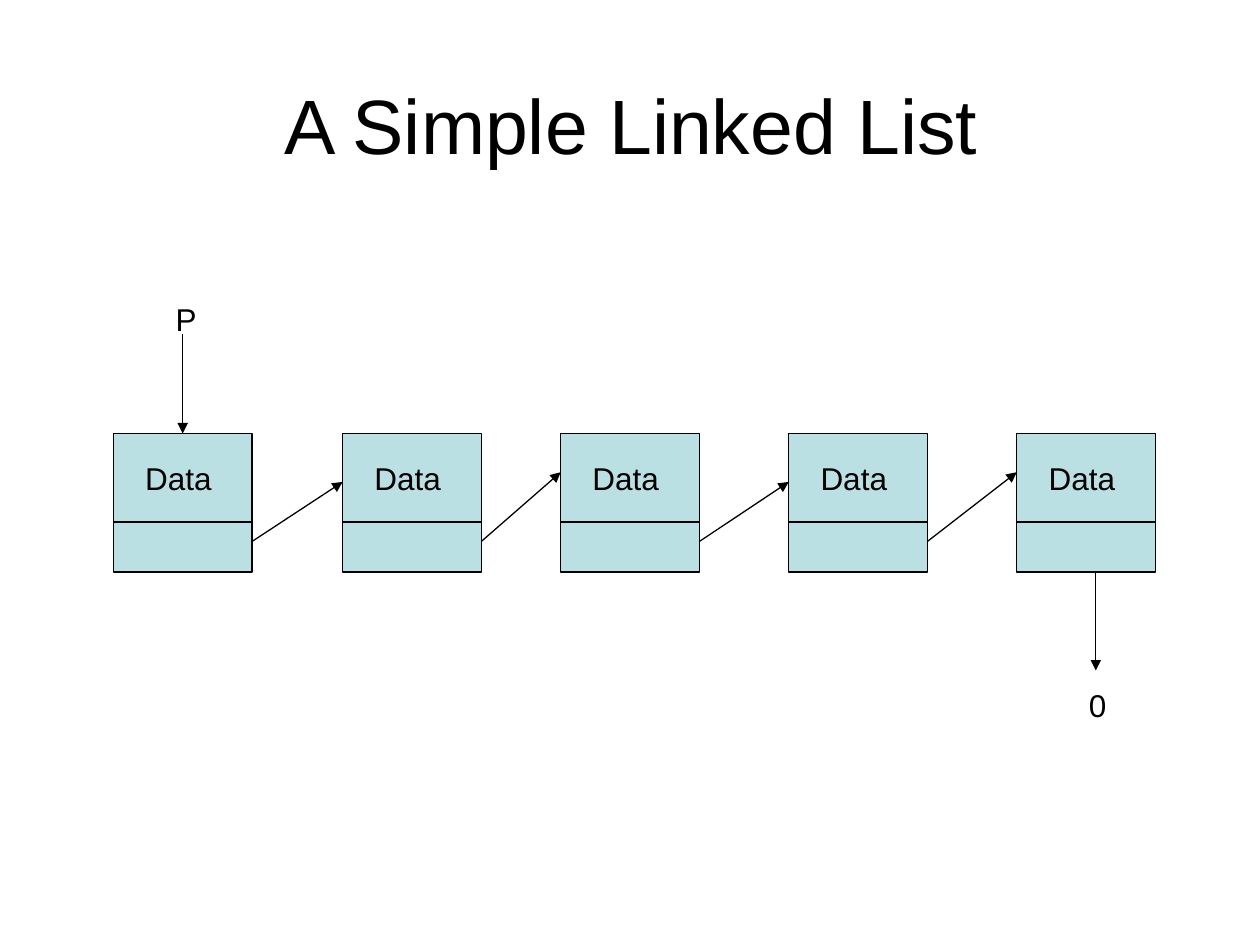
import dataclasses

import pptx
import pptx.dml.color
import pptx.enum.shapes
import pptx.enum.text
import pptx.oxml.ns
import pptx.util
from lxml import etree

BLACK = pptx.dml.color.RGBColor(0x00, 0x00, 0x00)
TEAL = pptx.dml.color.RGBColor(0xBB, 0xE0, 0xE3)
FONT = "Arial"
LINE_WIDTH = pptx.util.Pt(0.75)

# Lengths in inches
SLIDE_WIDTH, SLIDE_HEIGHT = 10, 7.5
NODE_SIZE = 1.1
NODE_TOP = 3.44
NODE_LEFTS = [0.9, 2.72, 4.45, 6.26, 8.07]
DIVIDER = 0.64  # share of the node height above the link field
LINK_START = 0.78  # share of the node height where a link leaves
LINK_ENDS = [0.35, 0.28]  # shares where links arrive, in turn


@dataclasses.dataclass
class Box:
    left: float
    top: float
    width: float
    height: float

    def point(self, across, down):
        return self.left + across * self.width, self.top + down * self.height

    def emu(self):
        return [pptx.util.Inches(length)
                for length in (self.left, self.top, self.width, self.height)]


def write_text(frame, text, size=18, align=pptx.enum.text.PP_ALIGN.LEFT,
               anchor=pptx.enum.text.MSO_ANCHOR.TOP, wrap=False):
    frame.word_wrap = wrap
    frame.vertical_anchor = anchor
    para = frame.paragraphs[0]
    para.alignment = align
    span = para.add_run()
    span.text = text
    span.font.name = FONT
    span.font.size = pptx.util.Pt(size)
    span.font.color.rgb = BLACK


def add_label(shapes, text, box):
    frame = shapes.add_textbox(*box.emu()).text_frame
    write_text(frame, text)
    frame.auto_size = pptx.enum.text.MSO_AUTO_SIZE.SHAPE_TO_FIT_TEXT


def add_line(shapes, start, end, arrow=False):
    line = shapes.add_connector(
        pptx.enum.shapes.MSO_CONNECTOR.STRAIGHT,
        *[pptx.util.Inches(length) for length in (*start, *end)])
    line.line.color.rgb = BLACK
    line.line.width = LINE_WIDTH
    if arrow:
        etree.SubElement(line.line._get_or_add_ln(),
                         pptx.oxml.ns.qn("a:tailEnd"), type="triangle")
    etree.SubElement(line._element.spPr, pptx.oxml.ns.qn("a:effectLst"))


def add_title(page, box):
    title = page.shapes.title
    title.left, title.top, title.width, title.height = box.emu()
    write_text(title.text_frame, "A Simple Linked List", size=44, wrap=True,
               align=pptx.enum.text.PP_ALIGN.CENTER,
               anchor=pptx.enum.text.MSO_ANCHOR.MIDDLE)


def add_node(page, box):
    """Group a data field and a link field into one list node."""
    shapes = page.shapes.add_group_shape().shapes
    body = shapes.add_shape(pptx.enum.shapes.MSO_SHAPE.RECTANGLE, *box.emu())
    body.shadow.inherit = False
    body.fill.solid()
    body.fill.fore_color.rgb = TEAL
    body.line.color.rgb = BLACK
    body.line.width = LINE_WIDTH
    add_line(shapes, box.point(0, DIVIDER), box.point(1, DIVIDER))
    add_label(shapes, "Data", Box(*box.point(0.14, 0.14), 0.73, 0.4))


def add_list(page, nodes):
    for node in nodes:
        add_node(page, node)

    # Links from each node to the next
    for index, (node, following) in enumerate(zip(nodes, nodes[1:])):
        arrival = LINK_ENDS[index % len(LINK_ENDS)]
        add_line(page.shapes, node.point(1, LINK_START),
                 following.point(0, arrival), arrow=True)

    # Head pointer and null end
    first, last = nodes[0], nodes[-1]
    add_line(page.shapes, first.point(0.5, -0.72), first.point(0.5, 0), arrow=True)
    add_line(page.shapes, last.point(0.57, 1), last.point(0.57, 1.71), arrow=True)
    add_label(page.shapes, "0", Box(*last.point(0.43, 1.78), 0.34, 0.4))
    add_label(page.shapes, "P", Box(*first.point(0.36, -1.01), 0.36, 0.4))


def main():
    deck = pptx.Presentation()
    deck.slide_width = pptx.util.Inches(SLIDE_WIDTH)
    deck.slide_height = pptx.util.Inches(SLIDE_HEIGHT)
    page = deck.slides.add_slide(deck.slide_layouts.get_by_name("Title Only"))
    add_title(page, Box(0.51, 0.36, 0.9 * SLIDE_WIDTH, SLIDE_HEIGHT / 6))
    add_list(page, [Box(left, NODE_TOP, NODE_SIZE, NODE_SIZE)
                    for left in NODE_LEFTS])
    deck.save("out.pptx")


if __name__ == "__main__":
    main()
